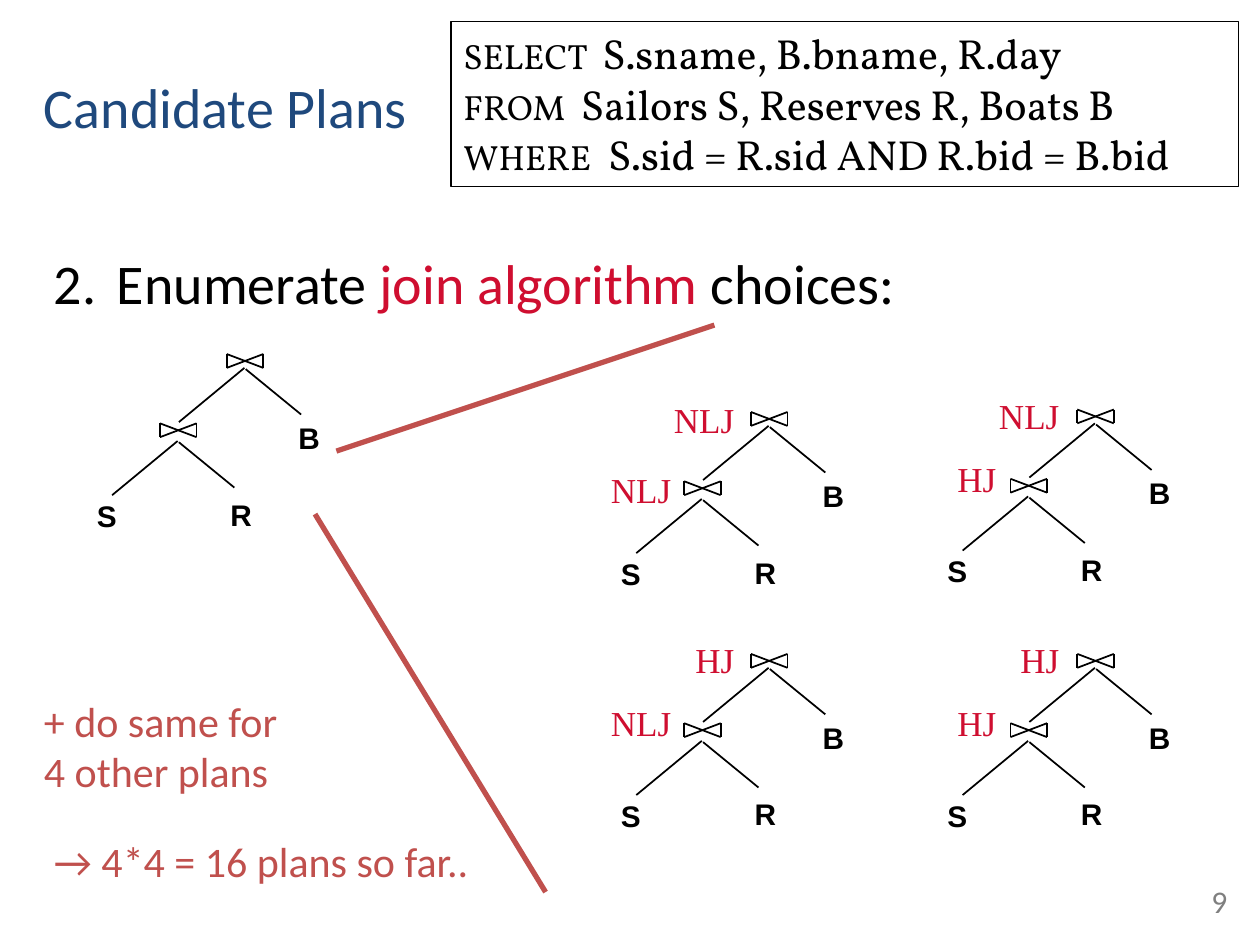
from lxml.etree import SubElement
from pptx import Presentation
from pptx.dml.color import RGBColor
from pptx.enum.shapes import MSO_CONNECTOR, MSO_SHAPE
from pptx.enum.text import MSO_ANCHOR, MSO_AUTO_SIZE, PP_ALIGN
from pptx.oxml.ns import qn
from pptx.util import Inches, Pt

BLACK = RGBColor(0x00, 0x00, 0x00)
CRIMSON = RGBColor(0xCF, 0x0E, 0x30)
BRICK = RGBColor(0xC0, 0x50, 0x4D)
NAVY = RGBColor(0x1F, 0x49, 0x7D)
GRAY = RGBColor(0x7F, 0x7F, 0x7F)

JOIN_WIDTH, JOIN_HEIGHT = 0.29, 0.11
TREE_JOINS = [(1.13, 0), (0.6, 0.55)]
TREE_BRANCHES = [
    (0.75, 0.54, 1.27, 0.11),
    (1.28, 0.12, 1.72, 0.48),
    (0.22, 1.12, 0.74, 0.69),
    (0.75, 0.7, 1.19, 1.06),
]
TREE_RELATIONS = [("R", 1.06, 1.08), ("S", 0, 1.09), ("B", 1.6, 0.47)]

PLANS = [
    (4.83, 3.27, ("NLJ", 5.25, 3.11), ("NLJ", 4.75, 3.67)),
    (7.42, 3.25, ("NLJ", 7.83, 3.08), ("HJ", 7.5, 3.58)),
    (4.83, 5.19, ("HJ", 5.42, 5.02), ("NLJ", 4.75, 5.52)),
    (7.42, 5.19, ("HJ", 8, 5.02), ("HJ", 7.5, 5.52)),
]
ALGORITHM_WIDTHS = {"NLJ": 0.68, "HJ": 0.51}

QUERY = [
    ("SELECT ", " S.sname, B.bname, R.day"),
    ("FROM ", " Sailors S, Reserves R, Boats B"),
    ("WHERE", "  S.sid = R.sid AND R.bid = B.bid"),
]


def add_run(paragraph, text, size, font_name, color, bold=False):
    run = paragraph.add_run()
    run.text = text
    run.font.size = Pt(size)
    run.font.name = font_name
    run.font.bold = bold
    run.font.color.rgb = color


def add_text(shapes, box, text, size, font_name, color, bold=False, wrap=True,
             align=PP_ALIGN.LEFT, anchor=MSO_ANCHOR.TOP):
    shape = shapes.add_textbox(*map(Inches, box))
    text_frame = shape.text_frame
    text_frame.word_wrap = wrap
    text_frame.vertical_anchor = anchor
    paragraph = text_frame.paragraphs[0]
    paragraph.alignment = align
    add_run(paragraph, text, size, font_name, color, bold)


def add_line(shapes, start_x, start_y, end_x, end_y, color=BLACK, width=1):
    points = map(Inches, (start_x, start_y, end_x, end_y))
    line = shapes.add_connector(MSO_CONNECTOR.STRAIGHT, *points)
    line.line.color.rgb = color
    line.line.width = Pt(width)
    SubElement(line._element.spPr, qn("a:effectLst"))


def add_join(shapes, left, top):
    right, bottom = left + JOIN_WIDTH, top + JOIN_HEIGHT
    add_line(shapes, left, top, left, bottom)
    add_line(shapes, right, top, right, bottom)
    add_line(shapes, left, top, right, bottom)
    add_line(shapes, left, bottom, right, top)


def add_tree(slide, left, top):
    shapes = slide.shapes.add_group_shape().shapes
    for x, y in TREE_JOINS:
        add_join(shapes, left + x, top + y)
    for start_x, start_y, end_x, end_y in TREE_BRANCHES:
        add_line(shapes, left + start_x, top + start_y, left + end_x, top + end_y)
    for relation, x, y in TREE_RELATIONS:
        add_text(shapes, (left + x, top + y, 0.37, 0.38), relation, 17, "Arial",
                 BLACK, bold=True, wrap=False)


def add_plan(slide, left, top, *algorithms):
    add_tree(slide, left, top)
    for algorithm, x, y in algorithms:
        add_text(slide.shapes, (x, y, ALGORITHM_WIDTHS[algorithm], 0.43), algorithm,
                 20, "Times New Roman", CRIMSON, wrap=False)


def add_query(slide, box):
    shape = slide.shapes.add_shape(MSO_SHAPE.RECTANGLE, *map(Inches, box))
    shape.shadow.inherit = False
    shape.fill.background()
    shape.line.color.rgb = BLACK
    shape.line.width = Pt(1)
    text_frame = shape.text_frame
    text_frame.word_wrap = True
    text_frame.auto_size = MSO_AUTO_SIZE.SHAPE_TO_FIT_TEXT
    text_frame.vertical_anchor = MSO_ANCHOR.TOP
    for index, (keyword, clause) in enumerate(QUERY):
        paragraph = text_frame.add_paragraph() if index else text_frame.paragraphs[0]
        paragraph.alignment = PP_ALIGN.LEFT
        add_run(paragraph, keyword, 20, "Vollkorn", BLACK)
        add_run(paragraph, clause, 24, "Vollkorn", BLACK)


def add_step(slide, box):
    text_frame = slide.shapes.add_textbox(*map(Inches, box)).text_frame
    text_frame.word_wrap = True
    paragraph = text_frame.paragraphs[0]
    paragraph.space_before = Pt(6.4)
    properties = paragraph._p.get_or_add_pPr()
    properties.set("marL", str(Inches(0.5)))
    properties.set("indent", str(Inches(-0.5)))
    color = SubElement(SubElement(properties, qn("a:buClr")), qn("a:srgbClr"))
    color.set("val", str(BLACK))
    SubElement(properties, qn("a:buFont")).set("typeface", "Calibri")
    number = SubElement(properties, qn("a:buAutoNum"))
    number.set("type", "arabicPeriod")
    number.set("startAt", "2")
    add_run(paragraph, "Enumerate ", 32, "Calibri", BLACK)
    add_run(paragraph, "join algorithm", 32, "Calibri", CRIMSON)
    add_run(paragraph, " choices:", 32, "Calibri", BLACK)


def build_slide(presentation):
    slide = presentation.slides.add_slide(presentation.slide_layouts[6])
    shapes = slide.shapes
    add_step(slide, (0.33, 1.92, 9.25, 0.92))
    add_tree(slide, 0.67, 2.81)
    add_query(slide, (3.58, 0.17, 6.25, 1.31))
    add_line(shapes, 2.67, 3.58, 5.67, 2.58, BRICK, 3)
    add_line(shapes, 2.5, 4.08, 4.33, 7.08, BRICK, 3)
    for plan in PLANS:
        add_plan(slide, *plan)
    add_text(shapes, (0.25, 5.47, 2.25, 0.91), "+ do same for 4 other plans",
             24, "Calibri", BRICK)
    add_text(shapes, (0.33, 6.58, 3.75, 0.5), "→ 4*4 = 16 plans so far..",
             24, "Calibri", BRICK)
    add_text(shapes, (0.08, 0.08, 3.42, 1.08), "Candidate Plans", 32, "Calibri", NAVY,
             align=PP_ALIGN.CENTER, anchor=MSO_ANCHOR.BOTTOM)
    add_text(shapes, (7.17, 6.83, 2.67, 0.52), "9", 18, "Calibri", GRAY,
             align=PP_ALIGN.RIGHT, anchor=MSO_ANCHOR.BOTTOM)


presentation = Presentation()
presentation.slide_width = Inches(10)
presentation.slide_height = Inches(7.5)
build_slide(presentation)
presentation.save("out.pptx")
